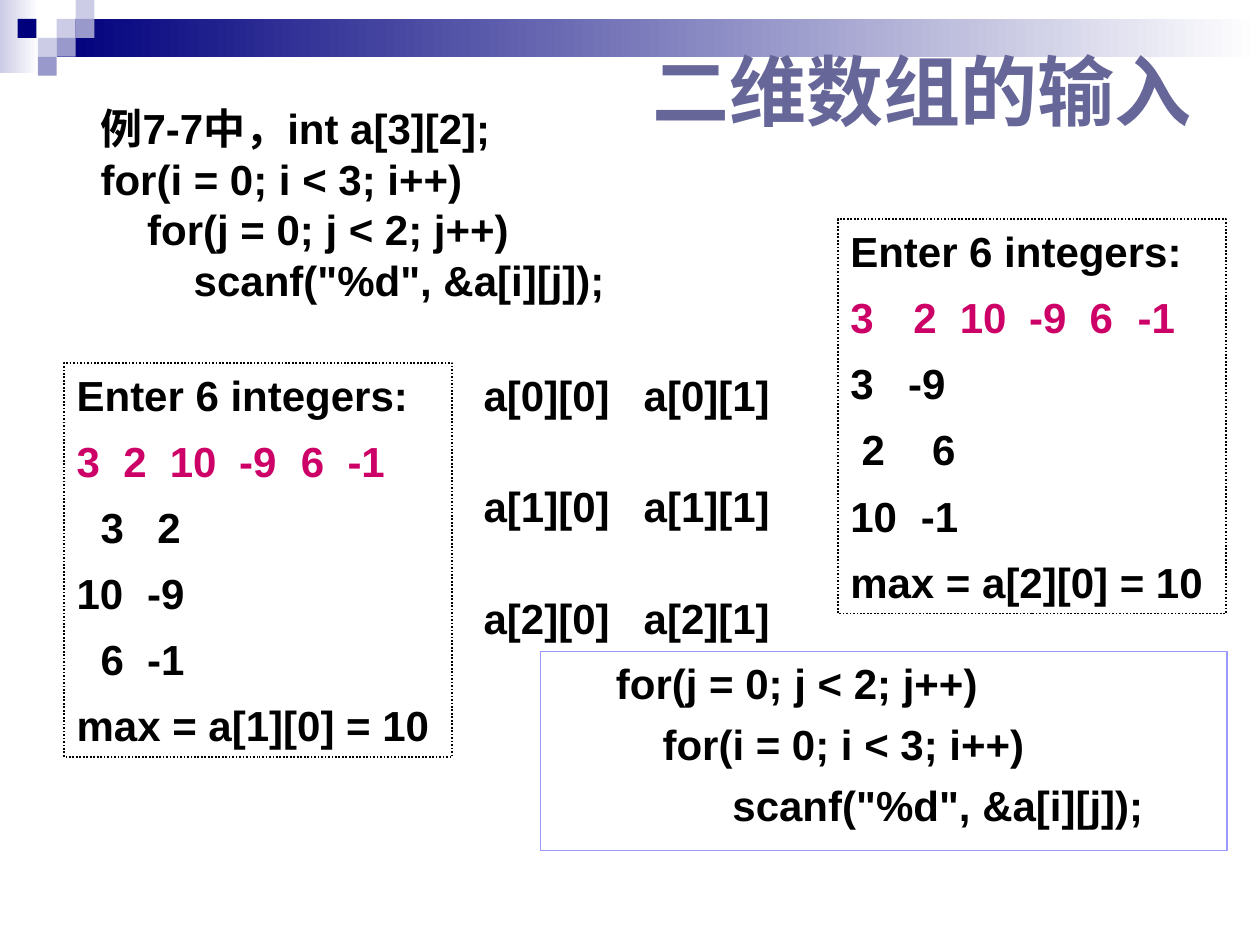
from dataclasses import dataclass

from lxml import etree
from pptx import Presentation
from pptx import util as u
from pptx.dml.color import RGBColor
from pptx.enum import dml, shapes, text
from pptx.oxml import ns


@dataclass(frozen=True)
class Theme:
    """Colours, fonts and type sizes of the slide."""

    navy: str = "00007D"
    lavender: str = "CCCCE6"
    violet: str = "9999CC"
    frame: str = "9999FF"
    title: str = "666699"
    accent: str = "CC0066"
    ink: str = "000000"
    paper: str = "FFFFFF"
    title_font: str = "Times New Roman"
    body_font: str = "Arial"
    title_size: int = 44
    body_size: int = 24


THEME = Theme()


def rgb(value):
    """Turn a hex string into a colour."""
    return RGBColor.from_string(value)


def add_rectangle(slide, box, fill=None, fade=None, line=None, dash=None):
    """Add a rectangle with a plain, fading or empty fill."""
    shape = slide.shapes.add_shape(shapes.MSO_SHAPE.RECTANGLE, *map(u.Inches, box))
    shape.shadow.inherit = False
    if fade:
        shape.fill.gradient()
        shape.fill.gradient_angle = 0
        for stop, colour in zip(shape.fill.gradient_stops, fade):
            stop.color.rgb = rgb(colour)
    elif fill:
        shape.fill.solid()
        shape.fill.fore_color.rgb = rgb(fill)
    else:
        shape.fill.background()
    if line:
        shape.line.color.rgb = rgb(line)
        shape.line.width = u.Pt(1)
        shape.line.dash_style = dash
    else:
        shape.line.fill.background()
    return shape


def add_text_box(slide, box):
    """Add an empty text box."""
    return slide.shapes.add_textbox(*map(u.Inches, box))


def set_indent(paragraph, margin, hang):
    """Set the left margin and hanging indent of a paragraph in inches."""
    properties = paragraph._p.get_or_add_pPr()
    properties.set("marL", str(u.Inches(margin)))
    properties.set("indent", str(u.Inches(hang)))


def add_number(paragraph, start, colour):
    """Number a paragraph automatically from the given start."""
    properties = paragraph._p.get_or_add_pPr()
    bullet_colour = etree.SubElement(properties, ns.qn("a:buClr"))
    etree.SubElement(bullet_colour, ns.qn("a:srgbClr"), val=colour)
    etree.SubElement(
        properties, ns.qn("a:buAutoNum"), type="arabicPlain", startAt=str(start)
    )


def add_tabs(paragraph, stops):
    """Give a paragraph left tab stops in inches."""
    tabs = etree.SubElement(paragraph._p.get_or_add_pPr(), ns.qn("a:tabLst"))
    for stop in stops:
        etree.SubElement(tabs, ns.qn("a:tab"), pos=str(u.Inches(stop)), algn="l")


def write_lines(shape, lines, gap=0, spacing=1.0, margin=0, hang=0,
                anchor=text.MSO_ANCHOR.TOP, **font):
    """Write lines given as dicts of text, tab stops, colour and number."""
    frame = shape.text_frame
    frame.word_wrap = True
    frame.vertical_anchor = anchor
    defaults = {"name": THEME.body_font, "size": u.Pt(THEME.body_size), "bold": True}
    for index, line in enumerate(lines):
        paragraph = frame.add_paragraph() if index else frame.paragraphs[0]
        number = line.get("number")
        if number:
            set_indent(paragraph, 0.5, -0.5)
            add_number(paragraph, number, line["colour"])
        elif margin:
            set_indent(paragraph, margin, hang)
        if "tabs" in line:
            add_tabs(paragraph, line["tabs"])
        layout = {
            "alignment": text.PP_ALIGN.LEFT,
            "line_spacing": spacing,
            "space_before": u.Pt(gap if index else 0),
        }
        for name, value in layout.items():
            setattr(paragraph, name, value)
        run = paragraph.add_run()
        run.text = line["text"]
        for name, value in {**defaults, **font}.items():
            setattr(run.font, name, value)
        run.font.color.rgb = rgb(line.get("colour", THEME.ink))


def add_banner(slide, box):
    """Draw the fading bar and its chequered corner."""
    left, top, width, height = box
    cell = 0.15
    add_rectangle(slide, (left, top, 0.31, 0.58), fade=(THEME.lavender, THEME.paper))
    add_rectangle(
        slide, (left + 3 * cell, top + cell, width - 3 * cell, height - cell),
        fade=(THEME.navy, THEME.paper),
    )
    squares = [
        (3, 1, THEME.lavender), (4, 0, THEME.lavender), (4, 1, THEME.violet),
        (2, 2, THEME.lavender), (0.93, 1, THEME.navy), (3, 2, THEME.violet),
        (2, 3, THEME.violet),
    ]
    for column, row, colour in squares:
        add_rectangle(
            slide, (left + column * cell, top + row * cell, cell, cell), fill=colour
        )


def add_title(slide, box):
    """Write the slide title."""
    write_lines(
        add_text_box(slide, box), [{"text": "二维数组的输入", "colour": THEME.title}],
        anchor=text.MSO_ANCHOR.MIDDLE,
        name=THEME.title_font, size=u.Pt(THEME.title_size),
    )


def add_code(shape, lines, spacing=1.0):
    """Write a listing of code into a shape."""
    write_lines(
        shape, [{"text": line} for line in lines],
        gap=6, spacing=spacing, margin=0.81, hang=-0.31,
    )


def add_elements(slide, box):
    """Write the names of the array elements in a grid."""
    lines = [
        {"text": f"a[{row}][0]\ta[{row}][1]", "tabs": [1.27]} for row in range(3)
    ]
    write_lines(add_text_box(slide, box), lines, gap=35)


def add_console(slide, box, entry, rows, result):
    """Draw a dotted panel with one run of the program."""
    panel = add_rectangle(slide, box, line=THEME.ink, dash=dml.MSO_LINE.ROUND_DOT)
    lines = [
        {"text": "Enter 6 integers:"}, {**entry, "colour": THEME.accent},
        *({"text": row, "tabs": stops} for row, stops in rows), {"text": result},
    ]
    write_lines(panel, lines, gap=9)


def main():
    """Build the slide and save it."""
    presentation = Presentation()
    presentation.slide_width, presentation.slide_height = u.Inches(10), u.Inches(7.5)
    slide = presentation.slides.add_slide(presentation.slide_layouts[6])
    add_banner(slide, (0, 0, 10, 0.45))
    add_title(slide, (5.08, 0.36, 4.58, 0.71))
    add_code(
        add_text_box(slide, (0.2, 0.84, 5, 1.75)),
        ["例7-7中，int a[3][2];", "for(i = 0; i < 3; i++)",
         "    for(j = 0; j < 2; j++)", '        scanf("%d", &a[i][j]);'],
        spacing=0.8,
    )
    add_elements(slide, (3.74, 2.88, 2.72, 2.25))
    add_code(
        add_rectangle(slide, (4.29, 5.17, 5.45, 1.58), line=THEME.frame),
        ["for(j = 0; j < 2; j++)", "    for(i = 0; i < 3; i++)",
         '          scanf("%d", &a[i][j]);'],
    )
    add_console(
        slide, (0.51, 2.88, 3.08, 3.13),
        {"text": "3\t2\t10\t-9\t6\t-1", "tabs": [0.37, 0.74, 1.29, 1.78, 2.15]},
        [("\t3\t2", [0.19, 0.64]), ("10\t-9", [0.56]), ("\t6\t-1", [0.19, 0.56])],
        "max = a[1][0] = 10",
    )
    add_console(
        slide, (6.65, 1.74, 3.08, 3.13),
        {"text": "2\t10\t-9\t6\t-1", "tabs": [0.87, 1.42, 1.9, 2.28], "number": 3},
        [("3\t-9", [0.46]), ("\t2\t6", [0.09, 0.65]), ("10\t-1", [0.56])],
        "max = a[2][0] = 10",
    )
    presentation.save("out.pptx")


if __name__ == "__main__":
    main()
